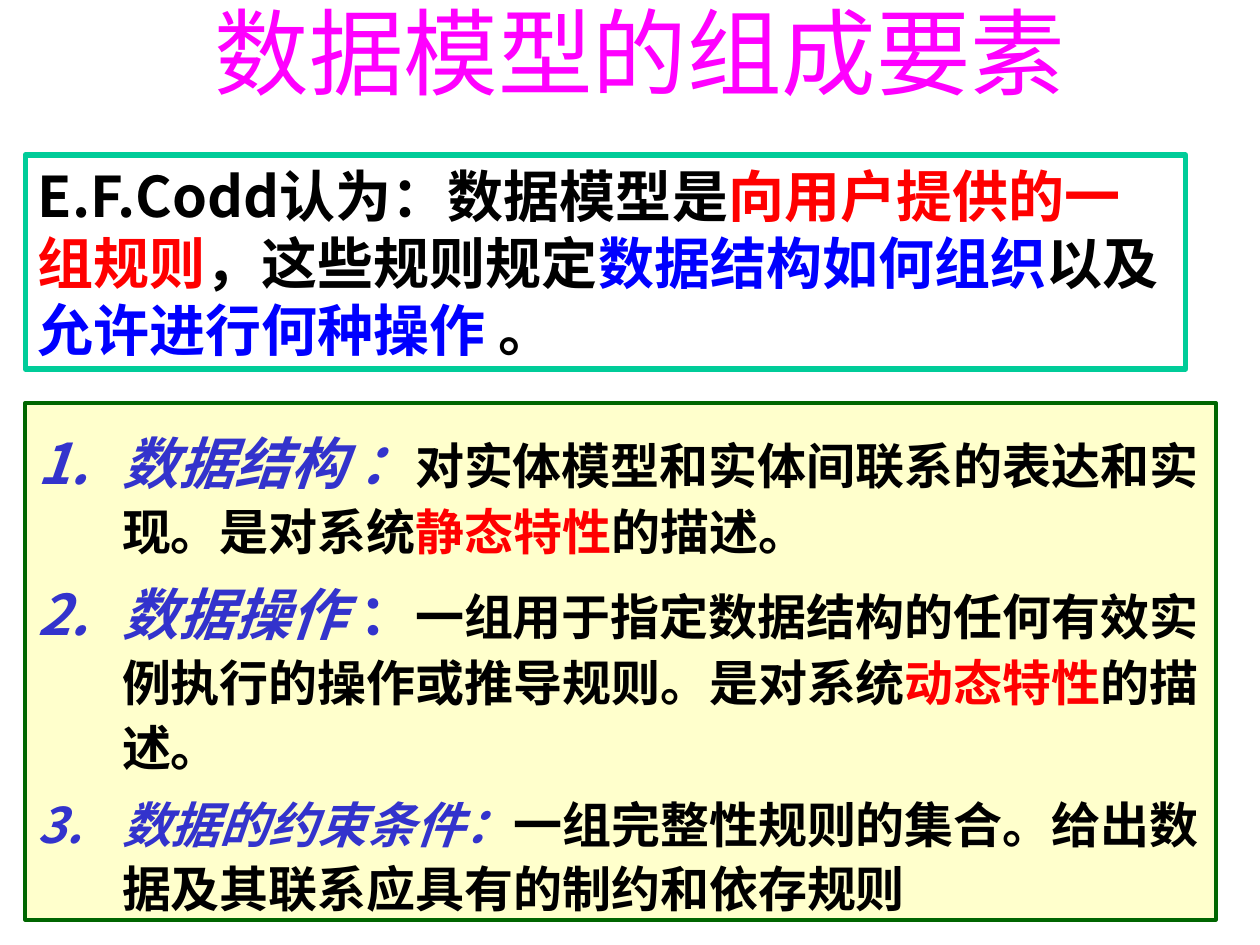
import pptx
import pptx.util
import pptx.dml.color
import pptx.enum.shapes
import pptx.enum.text
import pptx.oxml
import pptx.oxml.ns
from pptx.util import Inches

# Content: each run is (text, style)
TITLE = [[("数据模型的组成要素", "title")]]
DEFINITION = [[
    ("E.F.Codd认为：数据模型是", "quote"),
    ("向用户提供的一组规则", "quote_red"),
    ("，这些规则规定", "quote"),
    ("数据结构如何组织", "quote_blue"),
    ("以及", "quote"),
    ("允许进行何种操作", "quote_blue"),
    (" 。", "quote"),
]]
ELEMENTS = [
    [("数据结构 ：", "term"),
     ("对实体模型和实体间联系的表达和实现。是对系统", "body"),
     ("静态特性", "body_red"), ("的描述。", "body")],
    [("数据操作", "term"), (" ：", "term_upright"),
     ("一组用于指定数据结构的任何有效实例执行的操作或推导规则。是对系统", "body"),
     ("动态特性", "body_red"), ("的描述。", "body")],
    [("数据的约束条件：", "term_small"),
     ("一组完整性规则的集合。给出数据及其联系应具有的制约和依存规则", "body")],
]

# Formats
COLORS = {
    "magenta": "FF00FF", "black": "000000", "red": "FF0000", "blue": "0000FF",
    "indigo": "3333CC", "teal": "00CC99", "green": "006600", "cream": "FFFFCC",
}
CJK, LATIN = "Noto Sans CJK SC", "Times New Roman"


def style(size, color, name=LATIN, bold=True, italic=False):
    return color, {"size": pptx.util.Pt(size), "name": name, "bold": bold, "italic": italic}


STYLES = {
    "title": style(54, "magenta", bold=False),
    "quote": style(32, "black", CJK),
    "quote_red": style(32, "red", CJK),
    "quote_blue": style(32, "blue", CJK),
    "term": style(32, "indigo", italic=True),
    "term_upright": style(32, "indigo"),
    "term_small": style(28, "indigo", italic=True),
    "body": style(28, "black"),
    "body_red": style(28, "red"),
}


def rgb(name):
    return pptx.dml.color.RGBColor.from_string(COLORS[name])


def add_xml(parent, tag, **attributes):
    child = pptx.oxml.parse_xml(f"<a:{tag} {pptx.oxml.ns.nsdecls('a')}/>")
    for key, value in attributes.items():
        child.set(key, value)
    parent.append(child)
    return child


def add_panel(slide, box, line, width, fill=None):
    panel = slide.shapes.add_shape(
        pptx.enum.shapes.MSO_SHAPE.RECTANGLE, *map(Inches, box))
    panel.shadow.inherit = False
    panel.line.color.rgb = rgb(line)
    panel.line.width = pptx.util.Pt(width)
    if fill:
        panel.fill.solid()
        panel.fill.fore_color.rgb = rgb(fill)
    else:
        panel.fill.background()
    return panel.text_frame


def write(frame, paragraphs, align, anchor, top_inset=0.05):
    settings = {
        "word_wrap": True, "vertical_anchor": anchor,
        "margin_left": Inches(0.1), "margin_right": Inches(0.1),
        "margin_top": Inches(top_inset), "margin_bottom": Inches(0.05),
    }
    for key, value in settings.items():
        setattr(frame, key, value)
    for index, runs in enumerate(paragraphs):
        paragraph = frame.add_paragraph() if index else frame.paragraphs[0]
        paragraph.alignment = align
        for text, style_name in runs:
            run = paragraph.add_run()
            run.text = text
            color, values = STYLES[style_name]
            for key, value in values.items():
                setattr(run.font, key, value)
            run.font.color.rgb = rgb(color)
            add_xml(run._r.get_or_add_rPr(), "ea", typeface=CJK)


def number(frame, indent, gap):
    for index, paragraph in enumerate(frame.paragraphs):
        paragraph.line_spacing = 1.1
        if index:
            paragraph.space_before = pptx.util.Pt(gap)
        properties = paragraph._p.get_or_add_pPr()
        properties.set("marL", str(Inches(indent)))
        properties.set("indent", str(-Inches(indent)))
        add_xml(add_xml(properties, "buClr"), "srgbClr", val=COLORS["indigo"])
        add_xml(properties, "buFont", typeface=CJK)
        add_xml(properties, "buAutoNum", type="arabicPeriod")


def main():
    presentation = pptx.Presentation()
    presentation.slide_width, presentation.slide_height = Inches(10), Inches(7.5)
    slide = presentation.slides.add_slide(presentation.slide_layouts[6])
    align = pptx.enum.text.PP_ALIGN
    anchor = pptx.enum.text.MSO_ANCHOR

    # Title
    title = slide.shapes.add_textbox(*map(Inches, (1.38, 0, 7.4, 0.8))).text_frame
    write(title, TITLE, align.CENTER, anchor.MIDDLE)

    # The three elements
    elements = add_panel(slide, (0.2, 3.2, 9.45, 4.1), "green", 2.25, "cream")
    write(elements, ELEMENTS, align.LEFT, anchor.TOP, top_inset=0.15)
    number(elements, indent=0.67, gap=7)

    # Definition
    definition = add_panel(slide, (0.2, 1.23, 9.21, 1.7), "teal", 3)
    write(definition, DEFINITION, align.LEFT, anchor.MIDDLE)

    presentation.save("out.pptx")


if __name__ == "__main__":
    main()
